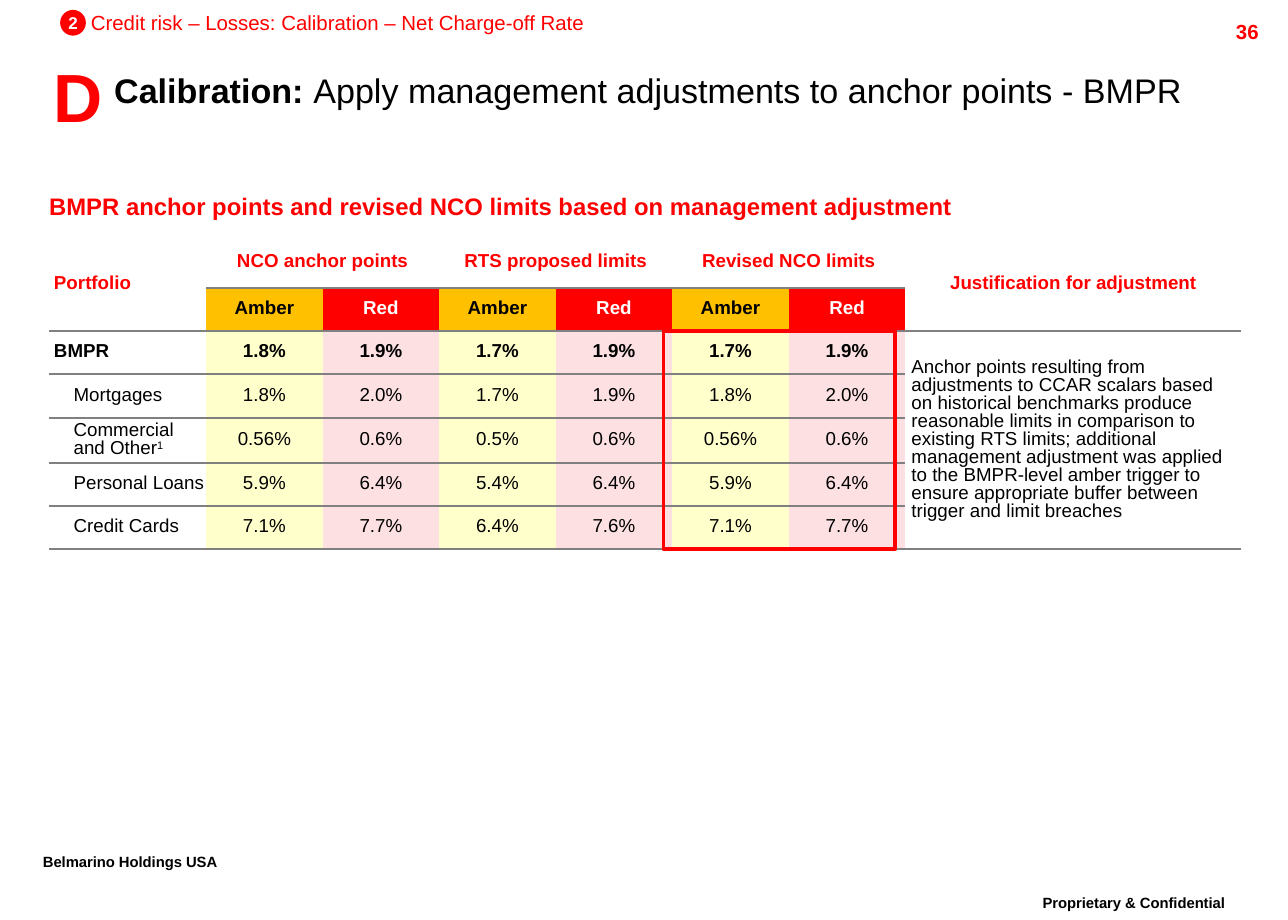
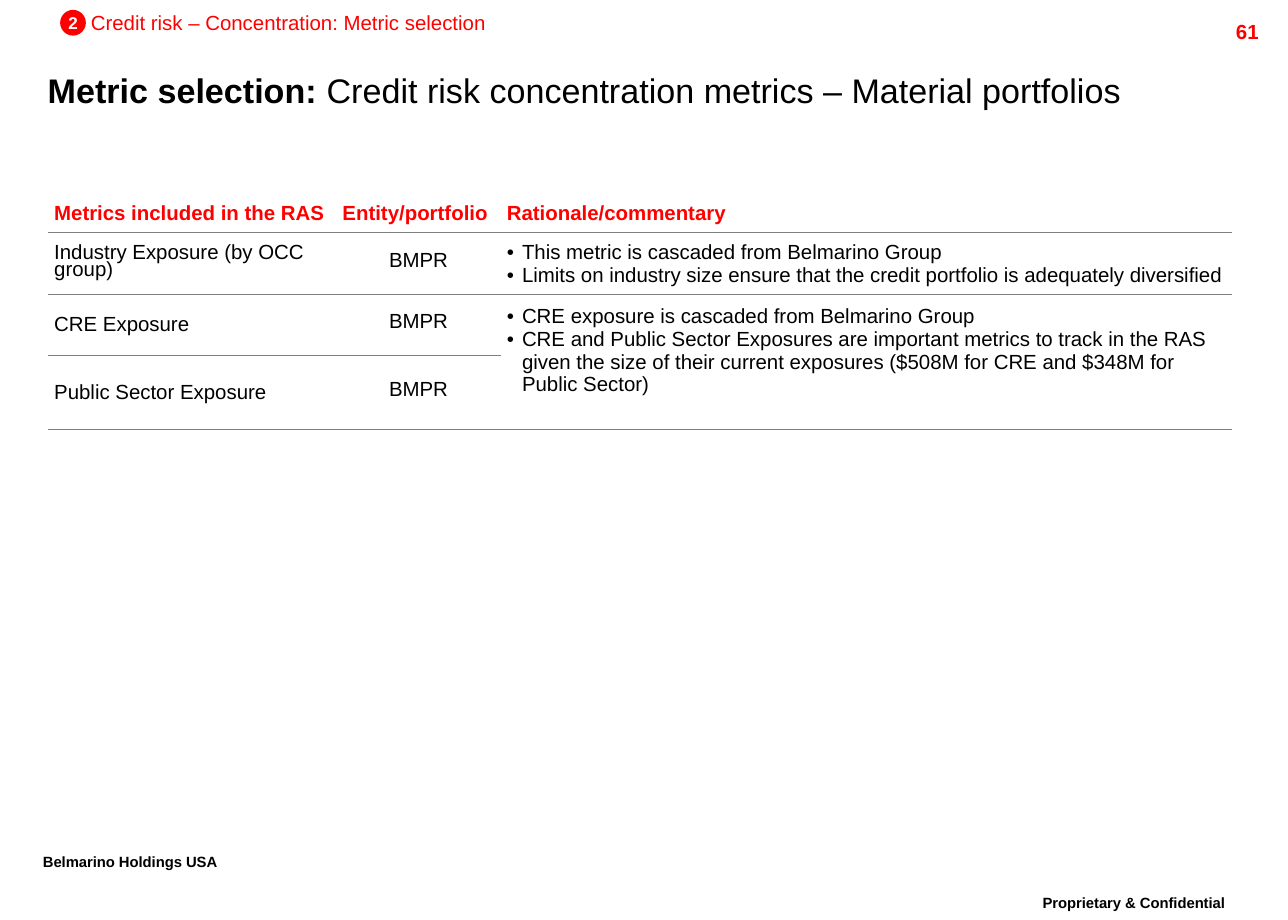
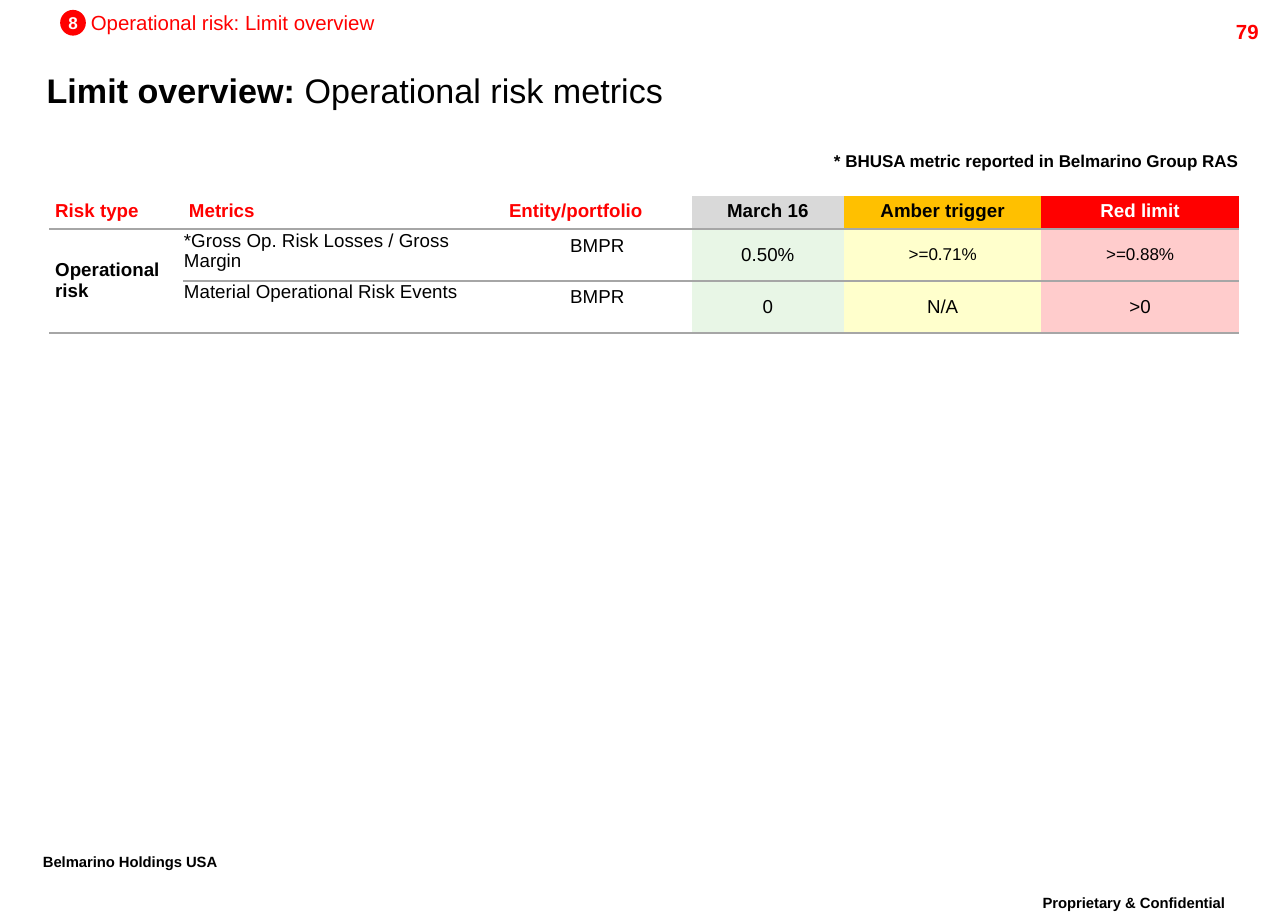
"""Build three risk appetite slides with limit and metric tables."""
from itertools import cycle
from lxml.etree import SubElement
from pptx import Presentation
from pptx.dml.color import RGBColor
from pptx.enum.shapes import MSO_SHAPE as Shape
from pptx.enum.text import MSO_ANCHOR as Anchor, PP_ALIGN as Align
from pptx.oxml import parse_xml
from pptx.oxml.ns import nsdecls, qn
from pptx.util import Pt

COLORS = {
    "red": "FF0000", "black": "000000", "white": "FFFFFF", "amber": "FFC000",
    "pale amber": "FFFFCC", "pale red": "FCE0E2", "soft red": "FFCCCC",
    "pale green": "E8F6E6", "silver": "D9D9D9",
    "gray": "808080", "mid gray": "7F7F7F", "light gray": "A6A6A6",
}
FONT = "Arial"
TIGHT = 0.86

BASE = {"size": 12, "color": "black", "bold": False, "align": Align.LEFT,
        "anchor": Anchor.TOP, "inset": (0, 0, 0, 0), "spacing": 1.0}
CELL = {"anchor": Anchor.MIDDLE, "inset": (3.6, 3.6, 3.6, 3.6)}
CENTER = {"align": Align.CENTER}
BOLD = {"bold": True}
RED_BOLD = {"color": "red", "bold": True}
HEAD = CELL | RED_BOLD | {"spacing": TIGHT}
FOOTER = BOLD | {"size": 15, "baseline": 30000, "spacing": TIGHT}

LIMIT_HEAD = HEAD | {"size": 11, "inset": (2.9, 2.2, 2.9, 2.2)}
LIMIT_GROUP = LIMIT_HEAD | CENTER
AMBER_HEAD = LIMIT_GROUP | {"color": "black", "fill": "amber"}
RED_HEAD = LIMIT_GROUP | {"color": "white", "fill": "red"}
LIMIT_TOTAL = LIMIT_HEAD | {"color": "black"}
LIMIT_TEXT = CELL | {"size": 11, "spacing": TIGHT}
LIMIT_LABEL = LIMIT_TEXT | {"inset": (14.4, 0, 0, 0)}
LIMIT_VALUE = LIMIT_TEXT | CENTER | {"inset": (0, 0, 0, 0)}

GROUPS = ["NCO anchor points", "RTS proposed limits", "Revised NCO limits"]
LIMITS = [
    ("BMPR", "1.8% 1.9% 1.7% 1.9% 1.7% 1.9%"),
    ("Mortgages", "1.8% 2.0% 1.7% 1.9% 1.8% 2.0%"),
    ([("Commercial and Other", {}), ("1", {"baseline": 30000})],
     "0.56% 0.6% 0.5% 0.6% 0.56% 0.6%"),
    ("Personal Loans", "5.9% 6.4% 5.4% 6.4% 5.9% 6.4%"),
    ("Credit Cards", "7.1% 7.7% 6.4% 7.6% 7.1% 7.7%"),
]
JUSTIFICATION = (
    "Anchor points resulting from adjustments to CCAR scalars based on historical "
    "benchmarks produce reasonable limits in comparison to existing RTS limits; "
    "additional management adjustment was applied to the BMPR-level amber trigger to "
    "ensure appropriate buffer between trigger and limit breaches")


def limit_cells():
    """Return the cells of the limits table, None where a merge covers one."""
    groups = [cell for name in GROUPS for cell in ((name, LIMIT_GROUP), None)]
    grid = [[("Portfolio", LIMIT_HEAD), *groups,
             ("Justification for adjustment", LIMIT_GROUP)],
            [None, *[("Amber", AMBER_HEAD), ("Red", RED_HEAD)] * len(GROUPS), None]]
    for index, (label, values) in enumerate(LIMITS):
        total = index == 0
        row = [(label, LIMIT_TOTAL if total else LIMIT_LABEL)]
        for value, fill in zip(values.split(), cycle(("pale amber", "pale red"))):
            row.append((value, LIMIT_VALUE | {"fill": fill, "bold": total}))
        row.append((JUSTIFICATION, LIMIT_TEXT) if total else None)
        grid.append(row)
    return grid


ENTITY = CELL | CENTER | {"spacing": Pt(10)}
BULLETS = CELL | {"bullet": True}
METRIC_CELLS = [
    [("Metrics included in the RAS", HEAD), ("Entity/portfolio", HEAD),
     ("Rationale/commentary", HEAD)],
    [("Industry Exposure (by OCC group)", CELL | {"spacing": Pt(10)}), ("BMPR", ENTITY),
     (["This metric is cascaded from Belmarino Group",
       "Limits on industry size ensure that the credit portfolio is adequately "
       "diversified"], BULLETS)],
    [("CRE Exposure", CELL), ("BMPR", ENTITY),
     (["CRE exposure is cascaded from Belmarino Group",
       "CRE and Public Sector Exposures are important metrics to track in the RAS given "
       "the size of their current exposures ($508M for CRE and $348M for Public Sector)"],
      BULLETS | {"inset": (3.6, 3.6, 3.6, 16.8)})],
    [("Public Sector Exposure", CELL), ("BMPR", ENTITY), None],
]

RISK_HEAD = HEAD | {"size": 11}
RISK_NAME = {"size": 11, "inset": (0.7, 0.7, 0.7, 0)}
RISK_VALUE = CELL | CENTER | {"size": 11}
RISK_ENTITY = RISK_VALUE | {"anchor": Anchor.TOP}
GREEN_VALUE, AMBER_VALUE, RED_VALUE = (
    RISK_VALUE | {"fill": fill} for fill in ("pale green", "pale amber", "soft red"))
BLACK_CENTER = RISK_HEAD | CENTER | {"color": "black"}
RISK_CELLS = [
    [("Risk type", RISK_HEAD), ("Metrics", RISK_HEAD), ("Entity/portfolio", RISK_HEAD),
     ("March 16", BLACK_CENTER | {"fill": "silver"}),
     ("Amber trigger", BLACK_CENTER | {"fill": "amber"}),
     ("Red limit", BLACK_CENTER | {"color": "white", "fill": "red"})],
    [("Operational risk", CELL | BOLD | {"size": 11}),
     ("*Gross Op. Risk Losses / Gross Margin", RISK_NAME), ("BMPR", RISK_ENTITY),
     ("0.50%", GREEN_VALUE), (">=0.71%", AMBER_VALUE | {"size": 10}),
     (">=0.88%", RED_VALUE | {"size": 10})],
    [None, ("Material Operational Risk Events", RISK_NAME), ("BMPR", RISK_ENTITY),
     ("0", GREEN_VALUE), ("N/A", AMBER_VALUE), (">0", RED_VALUE)],
]

SLIDES = [
    {"page": "36", "number": "2", "title_left": 67,
     "section": "Credit risk – Losses: Calibration – Net Charge-off Rate",
     "title": ("Calibration: ", "Apply management adjustments to anchor points - BMPR"),
     "texts": [
         ("D", (24, 31.7, 44, 48), RED_BOLD | CENTER | {"size": 40}),
         ("BMPR anchor points and revised NCO limits based on management adjustment",
          (28.8, 115.2, 663, 15), RED_BOLD | {"size": 14, "spacing": TIGHT})],
     "table": {"at": (28.8, 139), "border": ("gray", 1), "cells": limit_cells(),
               "cols": [92.2] + [68.4] * 6 + [197.3],
               "rows": [30, 25.3, 25.3, 25.8, 26.4, 25.2, 25.2],
               "merges": [(0, 0, 1, 0), (0, 1, 0, 2), (0, 3, 0, 4), (0, 5, 0, 6),
                          (0, 7, 1, 7), (2, 7, 6, 7)]},
     "highlight": (389.5, 194.4, 136, 128)},
    {"page": "61", "number": "2", "title_left": 28,
     "section": "Credit risk – Concentration: Metric selection",
     "title": ("Metric selection: ",
               "Credit risk concentration metrics – Material portfolios"),
     "table": {"at": (28.2, 115.2), "border": ("mid gray", 0.75), "cells": METRIC_CELLS,
               "cols": [169.2, 96.5, 429.1], "rows": [21.5, 35.8, 35.8, 43.4],
               "merges": [(2, 2, 3, 2)]}},
    {"page": "79", "number": "8", "title_left": 27.4,
     "section": "Operational risk: Limit overview",
     "title": ("Limit overview: ", "Operational risk metrics"),
     "texts": [("* BHUSA metric reported in Belmarino Group RAS", (481, 90, 254, 12),
                BOLD | CENTER | {"size": 10, "spacing": TIGHT})],
     "table": {"at": (28.8, 115.2), "border": ("light gray", 1.5), "cells": RISK_CELLS,
               "cols": [78.5, 187.9, 110.9, 89.3, 115.9, 115.9],
               "rows": [19.2, 30.5, 30.5], "merges": [(1, 0, 2, 0)]}},
]


def rgb(name):
    """Return a named colour."""
    return RGBColor.from_string(COLORS[name])


def points(values):
    """Return the values as lengths."""
    return [Pt(value) for value in values]


def set_all(target, formats):
    """Set attributes from a dict."""
    for name, value in formats.items():
        setattr(target, name, value)


def add_bullet(para):
    """Give a paragraph a hanging round bullet."""
    props = para._p.get_or_add_pPr()
    props.set("marL", str(Pt(8.9)))
    props.set("indent", str(-Pt(8.9)))
    SubElement(props, qn("a:buFont")).set("typeface", FONT)
    SubElement(props, qn("a:buChar")).set("char", "•")


def write(holder, frame, content, style):
    """Write a string, a list of paragraphs or a list of spans in a style."""
    style = BASE | style
    sides = ("margin_left", "margin_top", "margin_right", "margin_bottom")
    set_all(holder, dict(zip(sides, points(style["inset"]))))
    holder.vertical_anchor = style["anchor"]
    frame.word_wrap = True
    paragraphs = content if isinstance(content, list) else [content]
    if isinstance(paragraphs[0], tuple):
        paragraphs = [paragraphs]
    for index, spans in enumerate(paragraphs):
        para = frame.add_paragraph() if index else frame.paragraphs[0]
        set_all(para, {"alignment": style["align"], "line_spacing": style["spacing"]})
        if style.get("bullet"):
            add_bullet(para)
        for text, changes in [(spans, {})] if isinstance(spans, str) else spans:
            look = style | changes
            span = para.add_run()
            span.text = text
            set_all(span.font, {"name": FONT, "size": Pt(look["size"]),
                                "bold": look["bold"]})
            span.font.color.rgb = rgb(look["color"])
            if "baseline" in look:
                span._r.get_or_add_rPr().set("baseline", str(look["baseline"]))


def add_text(page, content, place, style):
    """Add a text box."""
    frame = page.shapes.add_textbox(*points(place)).text_frame
    write(frame, frame, content, style)


def add_plain_shape(page, kind, place, fill=None, line=None):
    """Add a preset shape with an optional fill and an optional outline."""
    shape = page.shapes.add_shape(kind, *points(place))
    shape.shadow.inherit = False
    if fill:
        shape.fill.solid()
        shape.fill.fore_color.rgb = rgb(fill)
    else:
        shape.fill.background()
    if line:
        shape.line.color.rgb = rgb(line[0])
        shape.line.width = Pt(line[1])
    else:
        shape.line.fill.background()
    return shape


def set_borders(cell, color, width, sides):
    """Draw the given sides of a cell and clear the rest."""
    props = cell._tc.get_or_add_tcPr()
    for index, side in enumerate("LRTB"):
        paint = (f'<a:solidFill><a:srgbClr val="{COLORS[color]}"/></a:solidFill>'
                 if side in sides else "<a:noFill/>")
        props.insert(index, parse_xml(
            f'<a:ln{side} {nsdecls("a")} w="{Pt(width)}">{paint}</a:ln{side}>'))


def add_grid(page, at, cols, rows, cells, merges, border):
    """Add a table with merged cells and horizontal rules."""
    size = (sum(cols), sum(rows))
    table = page.shapes.add_table(len(rows), len(cols), *points(at + size)).table
    set_all(table, {"first_row": False, "horz_banding": False})
    for column, width in zip(table.columns, cols):
        column.width = Pt(width)
    for row, height in zip(table.rows, rows):
        row.height = Pt(height)
    for top, left, bottom, right in merges:
        table.cell(top, left).merge(table.cell(bottom, right))
    for r, line in enumerate(cells):
        for c, entry in enumerate(line):
            cell = table.cell(r, c)
            if entry is None:
                cell.fill.background()
                continue
            content, style = entry
            write(cell, cell.text_frame, content, style)
            if "fill" in style:
                cell.fill.solid()
                cell.fill.fore_color.rgb = rgb(style["fill"])
            else:
                cell.fill.background()
            set_borders(cell, *border, "TB" if r else "B")


def add_frame(page, item):
    """Add the footers, page number, section mark and title."""
    add_text(page, "Proprietary & Confidential", (594, 525.6, 143, 18), FOOTER | CENTER)
    add_text(page, "Belmarino Holdings USA", (25.2, 501.1, 150, 18), FOOTER)
    add_text(page, item["page"], (674, 11.5, 64.8, 14), RED_BOLD | {"align": Align.RIGHT})
    add_text(page, item["section"], (53.3, 5.8, 400, 14.4), {"color": "red"})
    mark = add_plain_shape(page, Shape.OVAL, (35.3, 5.8, 15.1, 15.1), fill="red")
    write(mark.text_frame, mark.text_frame, item["number"],
          CENTER | BOLD | {"size": 10, "color": "white", "anchor": Anchor.MIDDLE})
    lead, rest = item["title"]
    add_text(page, [(lead, BOLD), (rest, {})], (item["title_left"], 35.3, 680, 34.6),
             {"size": 20, "anchor": Anchor.MIDDLE})


def main():
    """Build and save the deck."""
    deck = Presentation()
    set_all(deck, {"slide_width": Pt(756), "slide_height": Pt(540)})
    for item in SLIDES:
        page = deck.slides.add_slide(deck.slide_layouts[6])
        add_frame(page, item)
        for content, place, style in item.get("texts", []):
            add_text(page, content, place, style)
        add_grid(page, **item["table"])
        if "highlight" in item:
            add_plain_shape(page, Shape.RECTANGLE, item["highlight"], line=("red", 2.25))
    deck.save("out.pptx")


if __name__ == "__main__":
    main()
